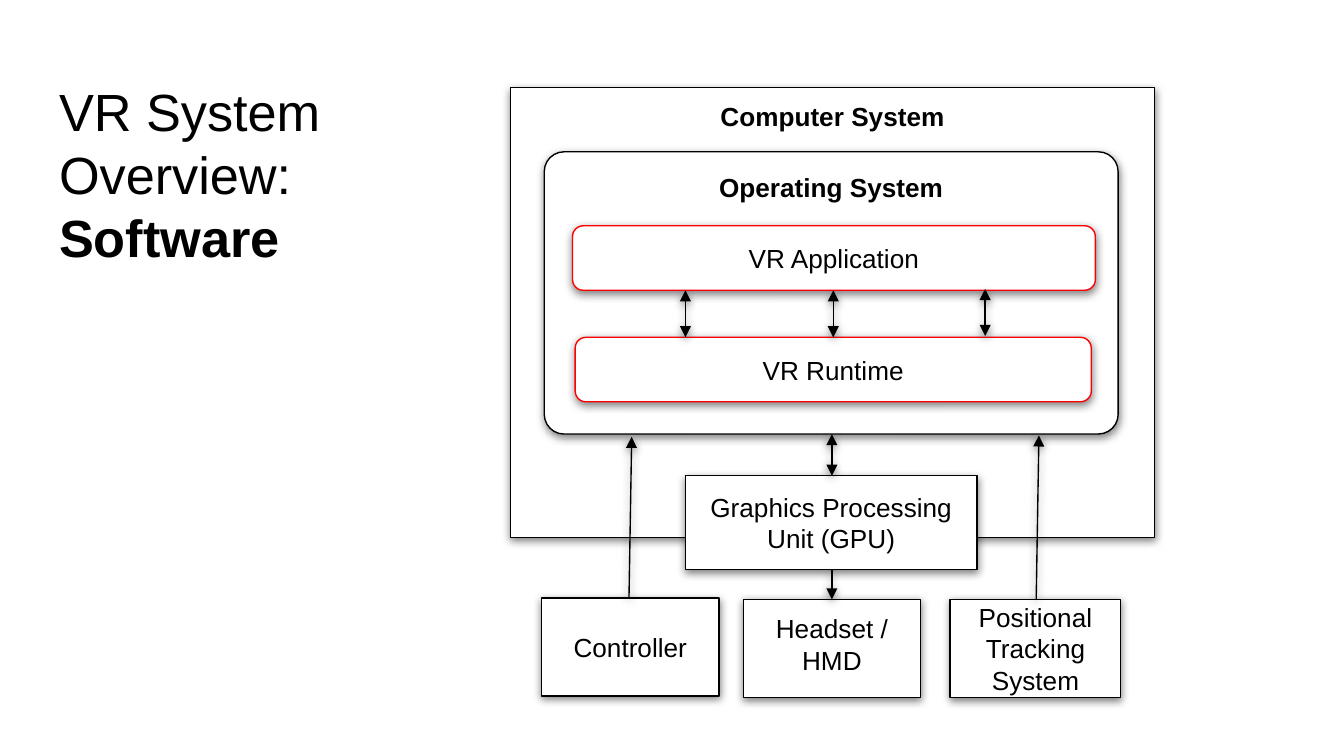
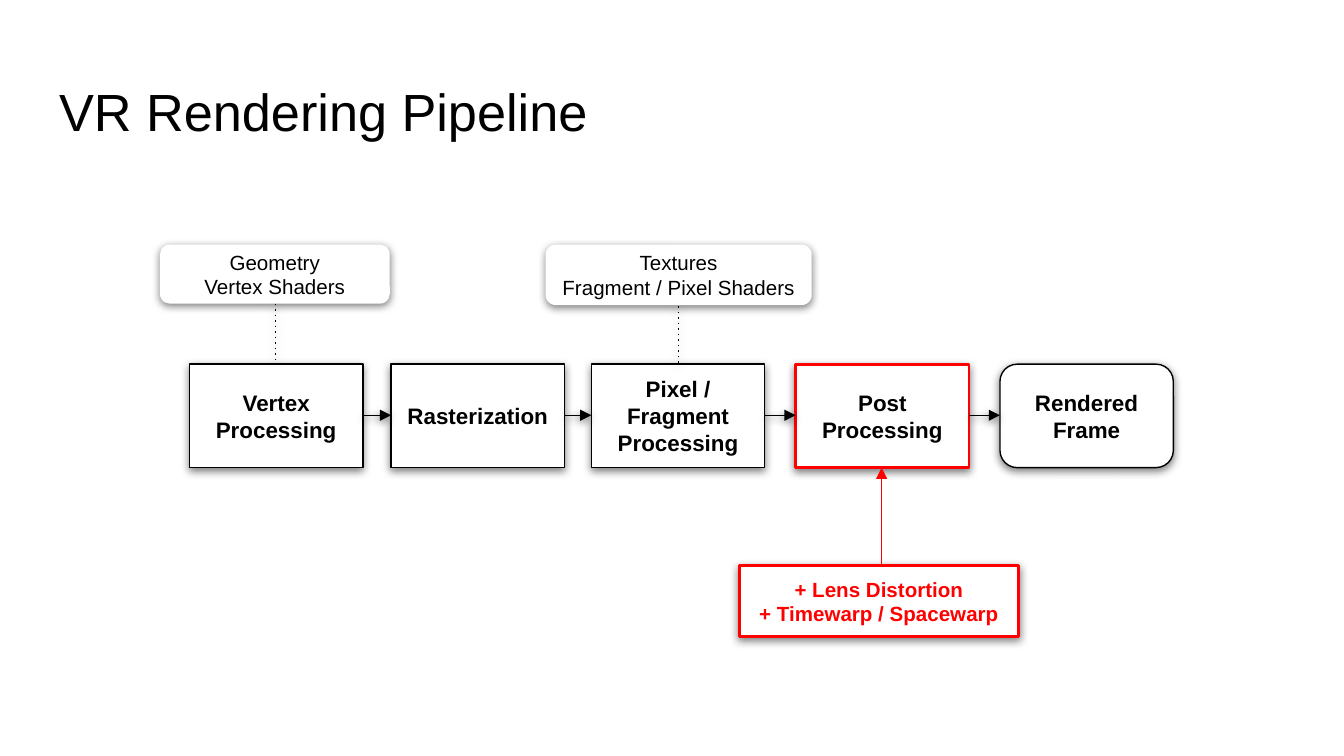
from lxml import etree
from pptx import Presentation
from pptx import util as u
from pptx.dml.color import RGBColor
from pptx.enum import shapes, text
from pptx.oxml.ns import qn

PX = 9144
FONT, BLACK, WHITE, RED = "Arial", "000000", "FFFFFF", "FF0000"
RECT, ROUND = shapes.MSO_SHAPE.RECTANGLE, shapes.MSO_SHAPE.ROUNDED_RECTANGLE
TOP, MIDDLE = text.MSO_ANCHOR.TOP, text.MSO_ANCHOR.MIDDLE
LEFT, CENTER = text.PP_ALIGN.LEFT, text.PP_ALIGN.CENTER


def rgb(value):
    return RGBColor.from_string(value)


def write(tf, content, size=14, color=BLACK, bold=False, strong="", align=CENTER, anchor=MIDDLE):
    tf.word_wrap = True
    tf.auto_size = text.MSO_AUTO_SIZE.NONE
    tf.vertical_anchor = anchor
    tf.margin_left = tf.margin_right = tf.margin_top = tf.margin_bottom = 10 * PX
    for i, line in enumerate(content.split("\n")):
        p = tf.add_paragraph() if i else tf.paragraphs[0]
        p.alignment = align
        for part, heavy in ((line, bold), (strong, True)):
            if part:
                r = p.add_run()
                r.text = part
                r.font.name = FONT
                r.font.size = u.Pt(size)
                r.font.bold = heavy
                r.font.color.rgb = rgb(color)


heading = dict(bold=True, anchor=TOP)
step = dict(size=12, bold=True)
note = dict(size=11)

system_boxes = [
    (RECT, 380, 65, 479, 335, BLACK, 0.75, "Computer System", heading),
    (RECT, 510, 354, 217, 70, BLACK, 0.75, "Graphics Processing Unit (GPU)", {}),
    (RECT, 553, 446, 132, 73, BLACK, 0.75, "Headset / HMD", dict(anchor=TOP)),
    (RECT, 403, 445, 132, 73, BLACK, 0.75, "Controller", {}),
    (ROUND, 405, 113, 427, 210, BLACK, 0.75, "Operating System", heading),
    (RECT, 707, 446, 127, 73, BLACK, 0.75, "Positional Tracking System", {}),
    (ROUND, 426, 168, 389, 48, RED, 0.75, "VR Application", {}),
    (ROUND, 428, 251, 384, 48, RED, 0.75, "VR Runtime", {}),
]
system_lines = [
    (771, 446, 773, 324, BLACK, "tail"),
    (619, 446, 619, 424, BLACK, "head"),
    (620, 251, 620, 216, BLACK, "both"),
    (619, 354, 619, 323, BLACK, "both"),
    (468, 445, 470, 325, BLACK, "tail"),
    (510, 251, 510, 216, BLACK, "both"),
    (733, 250, 733, 215, BLACK, "both"),
]

steps = [
    (RECT, 141, BLACK, 0.75, "Vertex Processing"),
    (RECT, 291, BLACK, 0.75, "Rasterization"),
    (RECT, 440, BLACK, 0.75, "Pixel / Fragment Processing"),
    (RECT, 592, RED, 1.5, "Post Processing"),
    (ROUND, 744, BLACK, 0.75, "Rendered Frame"),
]
pipeline_boxes = [(kind, x, 271, 129, 77, color, width, label, step)
                  for kind, x, color, width, label in steps]
pipeline_boxes += [
    (ROUND, 119, 182, 171, 44, None, 0, "Geometry\nVertex Shaders", note),
    (ROUND, 406, 182, 198, 45, None, 0, "Textures\nFragment / Pixel Shaders", note),
    (RECT, 550, 421, 208, 53, RED, 1.5, "+ Lens Distortion\n+ Timewarp / Spacewarp",
     dict(size=11, bold=True, color=RED)),
]
pipeline_lines = [(a[1] + 129, 309, b[1], 309, BLACK, "tail") for a, b in zip(steps, steps[1:])]
pipeline_lines += [
    (205, 226, 205, 271, BLACK, "dot"),
    (505, 228, 505, 271, BLACK, "dot"),
    (656, 348, 656, 421, RED, "head"),
]

slides = [
    ("VR System Overview: ", "Software", 324, system_boxes, system_lines),
    ("VR Rendering Pipeline", "", 932, pipeline_boxes, pipeline_lines),
]

prs = Presentation()
prs.slide_width = 1000 * PX
prs.slide_height = prs.slide_width * 9 // 16

for title, strong, title_width, boxes, lines in slides:
    s = prs.slides.add_slide(prs.slide_layouts[5])
    s.background.fill.solid()
    s.background.fill.fore_color.rgb = rgb(WHITE)
    sp = s.shapes.title
    sp.left, sp.top, sp.width, sp.height = 34 * PX, 49 * PX, title_width * PX, 63 * PX
    write(sp.text_frame, title, size=28, strong=strong, align=LEFT, anchor=TOP)

    shadowed = []
    for kind, x, y, w, h, color, width, label, fmt in boxes:
        sp = s.shapes.add_shape(kind, x * PX, y * PX, w * PX, h * PX)
        sp.fill.solid()
        sp.fill.fore_color.rgb = rgb(WHITE)
        if color:
            sp.line.color.rgb = rgb(color)
            sp.line.width = u.Pt(width)
        else:
            sp.line.fill.background()
        if label == "Operating System":
            sp.adjustments[0] = 0.07
        write(sp.text_frame, label, **fmt)
        shadowed.append((sp, True))

    for x1, y1, x2, y2, color, style in lines:
        sp = s.shapes.add_connector(shapes.MSO_CONNECTOR.STRAIGHT, x1 * PX, y1 * PX, x2 * PX, y2 * PX)
        sp.line.color.rgb = rgb(color)
        sp.line.width = u.Pt(0.75)
        ln = sp.line._get_or_add_ln()
        if style == "dot":
            etree.SubElement(ln, qn("a:prstDash"), val="dot")
        if style in ("both", "head"):
            etree.SubElement(ln, qn("a:headEnd"), type="triangle")
        if style in ("both", "tail"):
            etree.SubElement(ln, qn("a:tailEnd"), type="triangle")
        shadowed.append((sp, color == BLACK))

    for sp, visible in shadowed:
        effects = etree.SubElement(sp._element.spPr, qn("a:effectLst"))
        if visible:
            shadow = etree.SubElement(effects, qn("a:outerShdw"), blurRad=str(u.Pt(4.5)),
                                      dist=str(u.Pt(1.5)), dir="5400000", algn="bl", rotWithShape="0")
            tint = etree.SubElement(shadow, qn("a:srgbClr"), val=BLACK)
            etree.SubElement(tint, qn("a:alpha"), val="50000")

prs.save("out.pptx")
